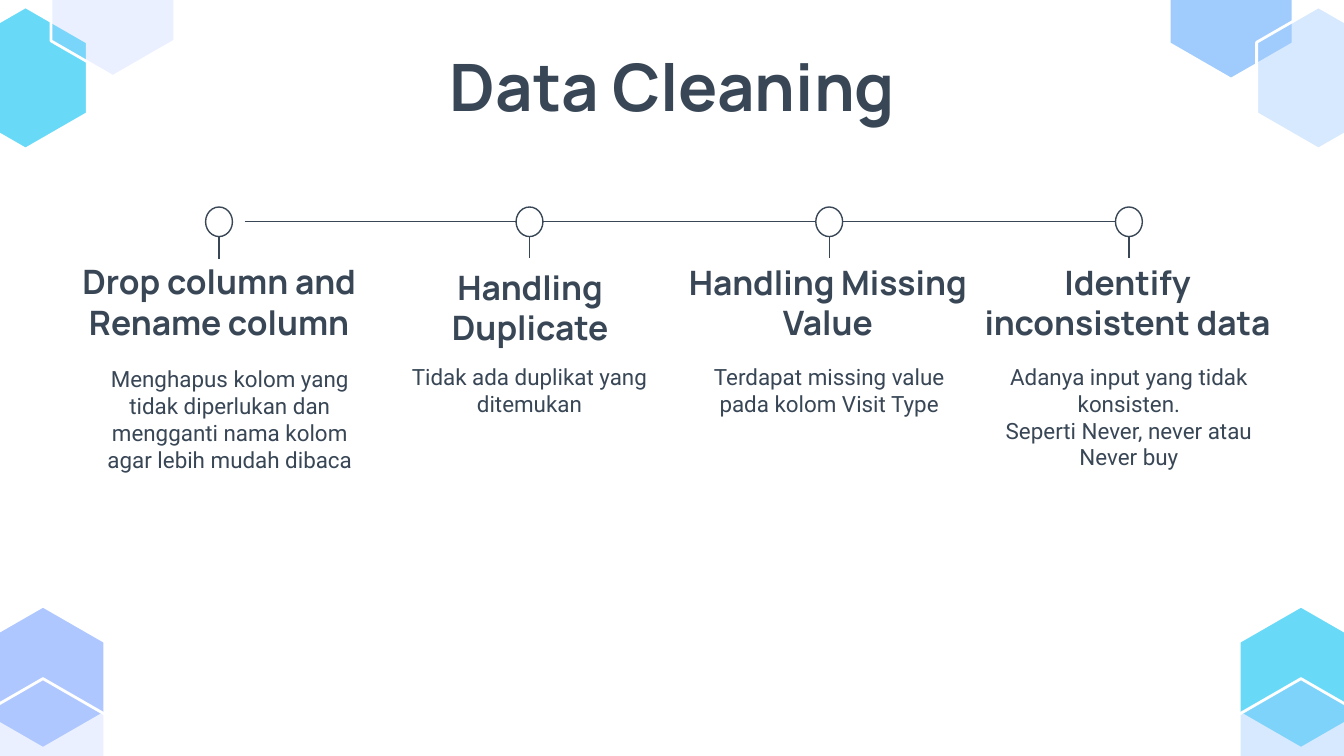
from lxml.etree import SubElement
from pptx import Presentation
from pptx.dml.color import RGBColor
from pptx.enum.shapes import MSO_CONNECTOR, MSO_SHAPE
from pptx.enum.text import MSO_ANCHOR, MSO_AUTO_SIZE, PP_ALIGN
from pptx.oxml.ns import qn
from pptx.util import Inches, Pt

COLORS = {
    "ink": "384655",
    "white": "FFFFFF",
    "periwinkle": "AFC7FF",
    "cyan": "68DAF8",
    "sky": "9FCBFD",
}
FORMATS = {
    "title": {"name": "Manrope", "size": Pt(35), "bold": True},
    "heading": {"name": "Manrope", "size": Pt(18), "bold": True},
    "body": {"name": "Roboto", "size": Pt(12), "bold": False},
}

presentation = Presentation()
presentation.slide_width = Inches(10)
presentation.slide_height = Inches(10 * 9 / 16)
slide = presentation.slides.add_slide(presentation.slide_layouts[5])
shapes = slide.shapes


def write_text(shape, box, paragraphs, style, anchor):
    """Place a shape at box (left, top, width, height) and fill it with centred text."""
    shape.left, shape.top, shape.width, shape.height = map(Inches, box)
    frame = shape.text_frame
    frame_format = {"word_wrap": True, "auto_size": MSO_AUTO_SIZE.NONE, "vertical_anchor": anchor}
    for side in ("left", "top", "right", "bottom"):
        frame_format[f"margin_{side}"] = Inches(0.1)
    for attribute, value in frame_format.items():
        setattr(frame, attribute, value)
    frame.text = "\n".join(paragraphs)
    for paragraph in frame.paragraphs:
        paragraph.alignment = PP_ALIGN.CENTER
        for run in paragraph.runs:
            run.font.color.rgb = RGBColor.from_string(COLORS["ink"])
            for attribute, value in FORMATS[style].items():
                setattr(run.font, attribute, value)


def add_line(start_x, start_y, end_x, end_y):
    line = shapes.add_connector(
        MSO_CONNECTOR.STRAIGHT, *map(Inches, (start_x, start_y, end_x, end_y)))
    line.line.color.rgb = RGBColor.from_string(COLORS["ink"])
    line.line.width = Pt(0.75)
    SubElement(line._element.spPr, qn("a:effectLst"))


# Corner hexagons: centre x, top, colour, opacity in percent
HEXAGON_HALF_WIDTH, HEXAGON_HEIGHT = 0.46, 1.06
hexagons = [
    (0.32, 4.51, "periwinkle", 100),
    (0.32, 5.05, "periwinkle", 25),
    (0.19, 0.05, "cyan", 100),
    (0.84, -0.49, "periwinkle", 25),
    (9.16, -0.47, "sky", 100),
    (9.81, 0.05, "sky", 41),
    (9.68, 4.51, "cyan", 100),
    (9.68, 5.05, "sky", 41),
]
for center, top, color, opacity in hexagons:
    left, right = center - HEXAGON_HALF_WIDTH, center + HEXAGON_HALF_WIDTH
    shoulder, hip = top + HEXAGON_HEIGHT / 4, top + HEXAGON_HEIGHT * 3 / 4
    corners = [(center, top), (left, shoulder), (left, hip),
               (center, top + HEXAGON_HEIGHT), (right, hip), (right, shoulder)]
    points = [(Inches(x), Inches(y)) for x, y in corners]
    builder = shapes.build_freeform(*points[0])
    builder.add_line_segments(points[1:], close=True)
    hexagon = builder.convert_to_shape()
    hexagon.shadow.inherit = False
    hexagon.fill.solid()
    hexagon.fill.fore_color.rgb = RGBColor.from_string(COLORS[color])
    hexagon.line.color.rgb = RGBColor.from_string(COLORS["white"])
    hexagon.line.width = Pt(1.5)
    if opacity < 100:
        fill_color = hexagon._element.spPr.find(qn("a:solidFill"))[0]
        SubElement(fill_color, qn("a:alpha"), val=str(opacity * 1000))

write_text(shapes.title, (0.79, 0.24, 8.43, 0.63), ["Data Cleaning"], "title", MSO_ANCHOR.TOP)

# Timeline: heading and its box, heading anchor, body text, body top, body anchor
steps = [
    ("Drop column and Rename column", (0.37, 1.93, 2.52, 0.63), MSO_ANCHOR.MIDDLE,
     ["Menghapus kolom yang tidak diperlukan dan mengganti nama kolom agar lebih mudah dibaca"],
     2.76, MSO_ANCHOR.MIDDLE),
    ("Handling Duplicate", (3.18, 1.97, 1.53, 0.63), MSO_ANCHOR.MIDDLE,
     ["Tidak ada duplikat yang ditemukan"], 2.6, MSO_ANCHOR.TOP),
    ("Handling Missing Value", (4.92, 1.93, 2.48, 0.72), MSO_ANCHOR.BOTTOM,
     ["Terdapat missing value pada kolom Visit Type"], 2.6, MSO_ANCHOR.TOP),
    ("Identify inconsistent data", (7.15, 1.93, 2.48, 0.72), MSO_ANCHOR.BOTTOM,
     ["Adanya input yang tidak konsisten.", "Seperti Never, never atau Never buy"],
     2.6, MSO_ANCHOR.TOP),
]
FIRST_COLUMN, COLUMN_STEP, BODY_WIDTH = 1.71, 2.23, 2.05
AXIS, NODE_WIDTH, NODE_HEIGHT = 1.65, 0.2, 0.22
line_start = 1.82
for index, (heading, heading_box, heading_anchor, body, body_top, body_anchor) in enumerate(steps):
    column = FIRST_COLUMN + index * COLUMN_STEP
    node_x = column if index else column - 0.08
    node = shapes.add_shape(
        MSO_SHAPE.OVAL, Inches(node_x - NODE_WIDTH / 2), Inches(AXIS - NODE_HEIGHT / 2),
        Inches(NODE_WIDTH), Inches(NODE_HEIGHT))
    node.shadow.inherit = False
    node.fill.background()
    node.line.color.rgb = RGBColor.from_string(COLORS["ink"])
    node.line.width = Pt(0.75)
    if index:
        add_line(line_start, AXIS, node_x - NODE_WIDTH / 2, AXIS)
        line_start = node_x + NODE_WIDTH / 2
    add_line(node_x, AXIS + NODE_HEIGHT / 2, node_x, 1.92 if index else 1.93)

    write_text(shapes.add_textbox(0, 0, 0, 0), heading_box, [heading], "heading", heading_anchor)
    body_box = (column - BODY_WIDTH / 2, body_top, BODY_WIDTH, 0.72)
    write_text(shapes.add_textbox(0, 0, 0, 0), body_box, body, "body", body_anchor)

presentation.save("out.pptx")
